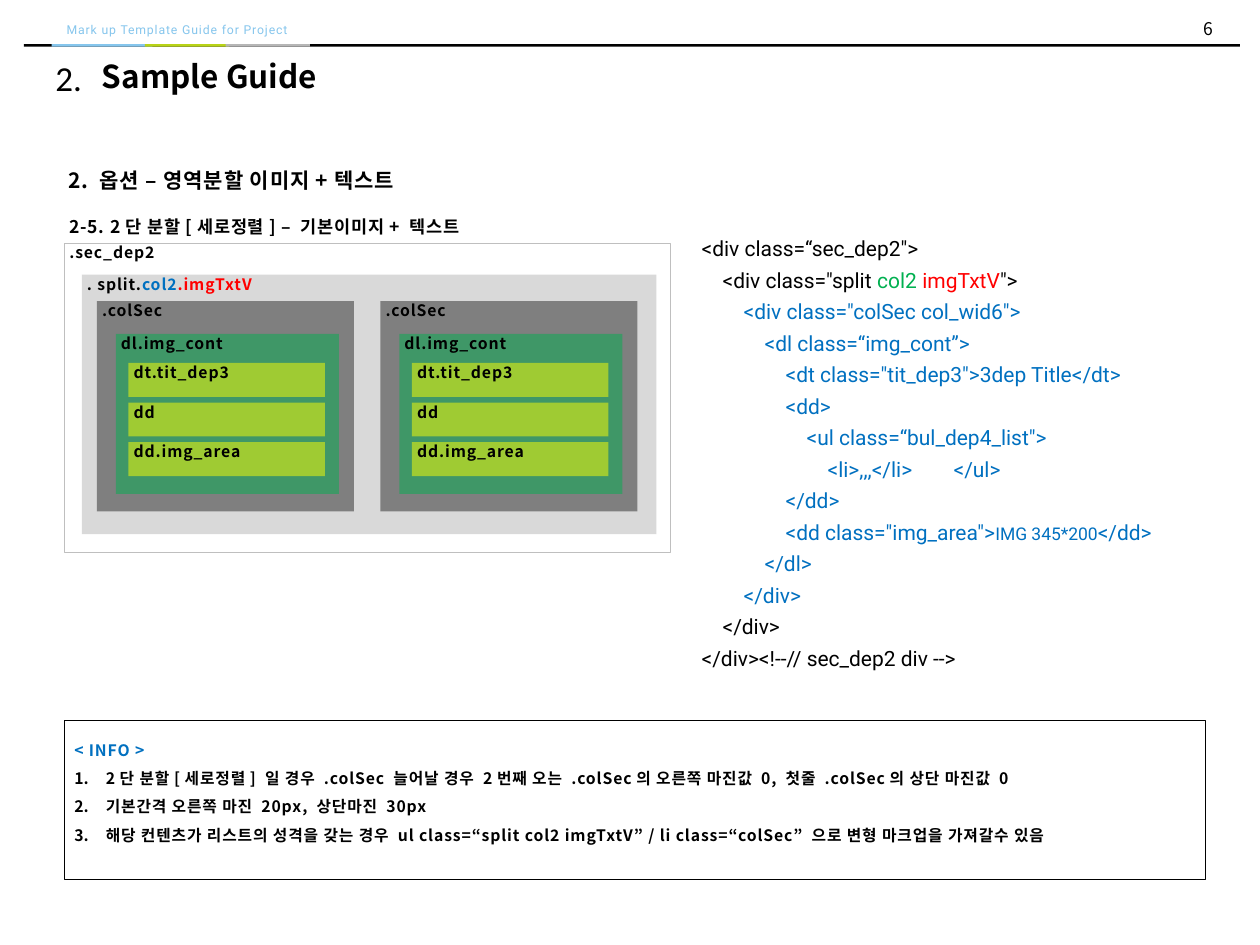
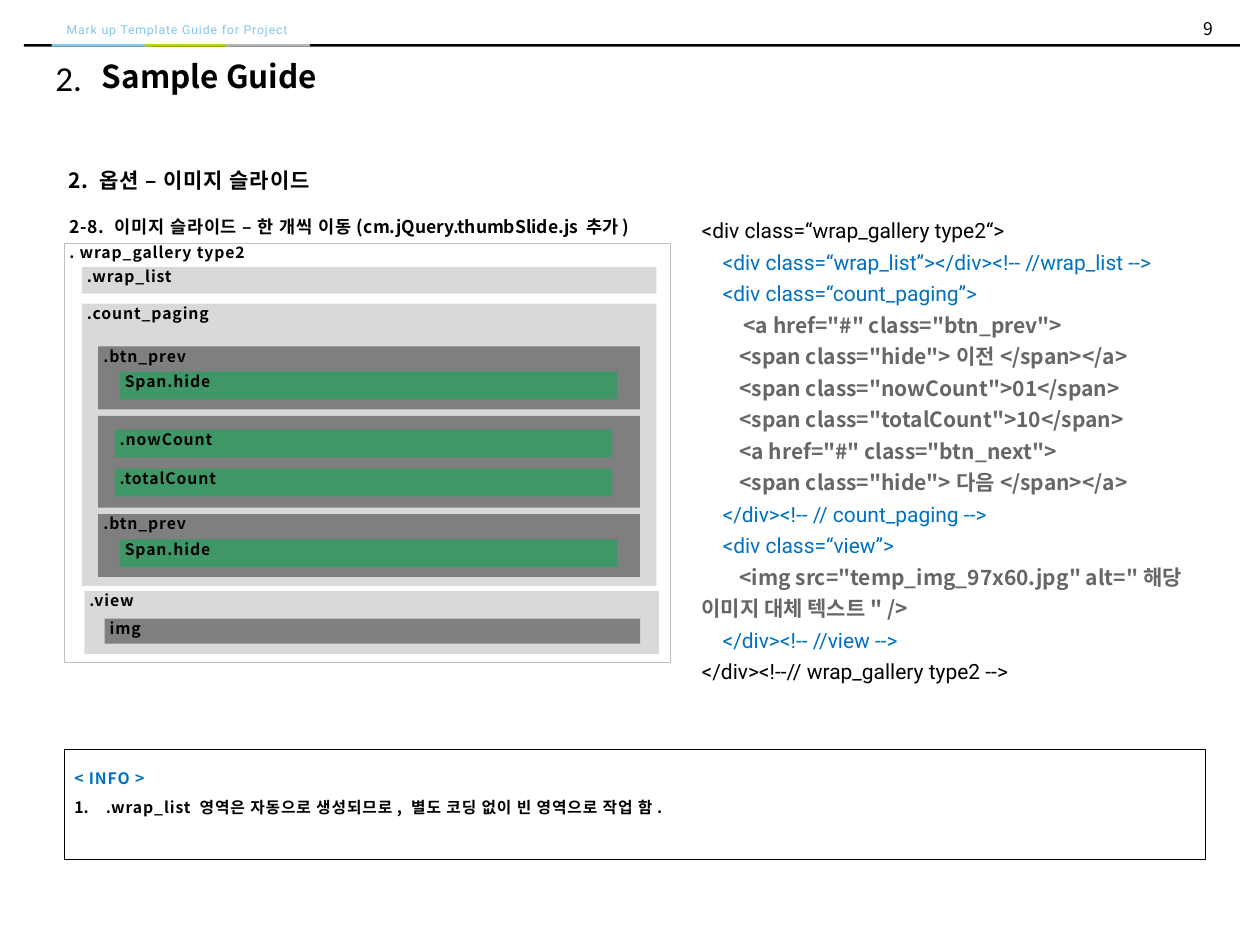
import pptx
import pptx.dml.color
import pptx.enum.shapes
import pptx.enum.text
import pptx.oxml.ns
import pptx.util
from lxml import etree

Inches, Pt = pptx.util.Inches, pptx.util.Pt
ALIGN = pptx.enum.text.PP_ALIGN
ANCHOR = pptx.enum.text.MSO_ANCHOR
qn = pptx.oxml.ns.qn

# Shared colours, fonts and text styles
BLACK, WHITE, BLUE, RED, GREEN = "000000", "FFFFFF", "0070C0", "FF0000", "00B050"
SKY, LIME, SILVER = "86C6ED", "B8D317", "B6B6B6"
LIGHT, DARK, YELLOW, BORDER, GRAY = "B5B5B5", "262626", "FFFF00", "BFBFBF", "666666"
NOTO, ROBOTO = "Noto Sans CJK KR", "Roboto"

LABEL = dict(size=9, bold=True, spacing=0.5)
CODE = dict(size=12, font=ROBOTO)
CODE_BLUE = dict(color=BLUE)
CODE_BOLD = dict(color=GRAY, font=NOTO, bold=True)
LABEL_INSETS = (0.04, 0, 0, 0)
TEXT_INSETS = (0.1, 0.05, 0.1, 0.05)


def rgb(value):
    return pptx.dml.color.RGBColor.from_string(value)


# Text helpers
def add_run(p, text, size=12, font=NOTO, color=BLACK, bold=False, spacing=0):
    r = p.add_run()
    r.text = text
    r.font.size = Pt(size)
    r.font.bold = bold
    r.font.color.rgb = rgb(color)
    r.font.name = font
    rPr = r._r.get_or_add_rPr()
    etree.SubElement(rPr, qn("a:ea")).set("typeface", font)
    if spacing:
        rPr.set("spc", str(int(spacing * 100)))


def add_runs(p, runs, style):
    """Each run is plain text or a (text, style changes) pair."""
    for run in [runs] if isinstance(runs, str) else runs:
        text, changes = (run, {}) if isinstance(run, str) else run
        add_run(p, text, **{**style, **changes})


def set_frame(tf, insets, wrap=True, anchor=ANCHOR.TOP):
    tf.word_wrap = wrap
    tf.vertical_anchor = anchor
    (tf.margin_left, tf.margin_top,
     tf.margin_right, tf.margin_bottom) = map(Inches, insets)


def set_indent(p, left, first):
    pPr = p._p.get_or_add_pPr()
    pPr.set("marL", str(Inches(left)))
    pPr.set("indent", str(Inches(first)))
    return pPr


def add_text(s, at, runs, style, insets=TEXT_INSETS, wrap=True, grow=True,
             align=ALIGN.LEFT, anchor=ANCHOR.TOP, line_spacing=None):
    tf = s.shapes.add_textbox(*map(Inches, at)).text_frame
    set_frame(tf, insets, wrap, anchor)
    if grow:
        tf.auto_size = pptx.enum.text.MSO_AUTO_SIZE.SHAPE_TO_FIT_TEXT
    p = tf.paragraphs[0]
    p.alignment = align
    if line_spacing:
        p.line_spacing = line_spacing
    add_runs(p, runs, style)


# Boxes
def add_box(s, at, fill, opacity=100, line=None, line_width=0.75):
    sp = s.shapes.add_shape(pptx.enum.shapes.MSO_SHAPE.RECTANGLE, *map(Inches, at))
    sp.shadow.inherit = False
    sp.fill.solid()
    sp.fill.fore_color.rgb = rgb(fill)
    if opacity < 100:
        color = sp._element.spPr.find(qn("a:solidFill"))[0]
        etree.SubElement(color, qn("a:alpha")).set("val", str(opacity * 1000))
    if line:
        sp.line.color.rgb = rgb(line)
        sp.line.width = Pt(line_width)
    else:
        sp.line.fill.background()
    return sp


def add_label_box(s, at, fill, label="", opacity=50, line=None):
    sp = add_box(s, at, fill, opacity, line, 0.25)
    if label:
        set_frame(sp.text_frame, LABEL_INSETS)
        p = sp.text_frame.paragraphs[0]
        p.alignment = ALIGN.LEFT
        add_runs(p, label, LABEL)


def add_outer_box(s, height, label):
    add_label_box(s, (0.51, 1.93, 4.81, height), WHITE, label, 20, BORDER)


def add_info(s, top, height, notes):
    sp = add_box(s, (0.51, top, 9.06, height), WHITE, 50, BLACK)
    tf = sp.text_frame
    set_frame(tf, (0.08, 0.08, 0.08, 0))
    for i, text in enumerate(["< INFO >"] + notes):
        p = tf.add_paragraph() if i else tf.paragraphs[0]
        p.alignment = ALIGN.LEFT
        p.line_spacing = 1.5
        if i:
            pPr = set_indent(p, 0.25, -0.25)
            etree.SubElement(pPr, qn("a:buAutoNum")).set("type", "arabicPeriod")
        add_runs(p, text, {**LABEL, "color": BLACK if i else BLUE})


def add_code(s, top, lines):
    """Each line is (indent level, runs); six levels make one inch."""
    tf = s.shapes.add_textbox(*map(Inches, (5.47, top, 4.25, 3.89))).text_frame
    set_frame(tf, TEXT_INSETS)
    tf.auto_size = pptx.enum.text.MSO_AUTO_SIZE.SHAPE_TO_FIT_TEXT
    for i, (level, runs) in enumerate(lines):
        p = tf.add_paragraph() if i else tf.paragraphs[0]
        p.line_spacing = Pt(18)
        pPr = set_indent(p, 0, level / 6)
        if any("\t" in run[0] for run in runs):
            tabs = etree.SubElement(pPr, qn("a:tabLst"))
            tab = etree.SubElement(tabs, qn("a:tab"))
            tab.set("pos", str(Inches(3)))
            tab.set("algn", "l")
        add_runs(p, runs, CODE)


# Header, title and headings common to both slides
def add_page(prs, number, heading, heading_width, subheading, subheading_width):
    s = prs.slides.add_slide(prs.slide_layouts[6])
    add_box(s, (0.19, 0.35, 9.65, 0.02), BLACK)
    add_text(s, (7.79, 0.08, 1.94, 0.29), number, dict(size=10), grow=False,
             align=ALIGN.RIGHT, anchor=ANCHOR.MIDDLE)
    add_text(s, (0.43, 0.13, 2.98, 0.22), "Mark up Template Guide for Project",
             dict(size=7, font=ROBOTO, color=SKY, spacing=0.5))
    for left, width, color in ((0.41, 0.8, SKY), (1.15, 0.67, LIME), (1.79, 0.67, SILVER)):
        add_box(s, (left, 0.35, width, 0.02), color)
    add_text(s, (0.27, 0.4, 0.55, 0.44), "2.", dict(size=20, font="Calibri"),
             align=ALIGN.CENTER)
    add_text(s, (0.71, 0.4, 4.61, 0.4), "Sample Guide", dict(size=18, bold=True))
    for at, text, size in (((0.5, 1.23, heading_width, 0.3), heading, 12),
                           ((0.51, 1.63, subheading_width, 0.25), subheading, 10)):
        add_text(s, at, text, {**LABEL, "size": size}, LABEL_INSETS,
                 wrap=False, line_spacing=1.5)
    return s


def blue(level, text):
    return level, [(text, CODE_BLUE)]


def black(level, text):
    return level, [(text, {})]


def bold(level, text):
    return level, [(text, CODE_BOLD)]


def build_split_slide(prs):
    s = add_page(prs, "6", "2. 옵션 – 영역분할 이미지+텍스트", 2.79,
                 "2-5. 2단 분할[세로정렬] – 기본이미지+ 텍스트", 3.2)

    # Two equal columns of nested boxes
    add_outer_box(s, 2.45, ".sec_dep2")
    add_label_box(s, (0.65, 2.18, 4.56, 2.06), LIGHT,
                  [". split.", ("col2", dict(color=BLUE)), (".imgTxtV", dict(color=RED))])
    for left in (0.77, 3.02):
        add_label_box(s, (left, 2.39, 2.04, 1.67), DARK, ".colSec")
        add_label_box(s, (left + 0.15, 2.65, 1.77, 1.27), GREEN, "dl.img_cont")
        for row, label in enumerate(("dt.tit_dep3", "dd", "dd.img_area")):
            add_label_box(s, (left + 0.25, 2.88 + row * 0.315, 1.56, 0.27), YELLOW, label)

    add_code(s, 1.77, [
        black(0, '<div class=“sec_dep2">'),
        (1, [('<div class="split ', {}), ("col2 ", dict(color=GREEN)),
             ("imgTxtV", dict(color=RED)), ('">', {})]),
        blue(2, '<div class="colSec col_wid6">'),
        blue(3, "<dl class=“img_cont”>"),
        blue(4, '<dt class="tit_dep3">3dep Title</dt>'),
        blue(4, "<dd>"),
        blue(5, '<ul class=“bul_dep4_list">'),
        blue(6, "<li>,,,</li>\t</ul>"),
        blue(4, "</dd>"),
        (4, [('<dd class="img_area">', CODE_BLUE),
             ("IMG 345*200", dict(color=BLUE, size=10)), ("</dd>", CODE_BLUE)]),
        blue(3, "</dl>"),
        blue(2, "</div>"),
        black(1, "</div>"),
        black(0, "</div><!--// sec_dep2 div -->"),
    ])
    add_info(s, 5.72, 1.26, [
        "2단 분할[세로정렬] 일 경우 .colSec 늘어날 경우 2번째 오는 .colSec의 "
        "오른쪽 마진값 0, 첫줄 .colSec의 상단 마진값 0",
        "기본간격 오른쪽 마진 20px, 상단마진 30px",
        "해당 컨텐츠가 리스트의 성격을 갖는 경우 ul class=“split col2 imgTxtV” / "
        "li class=“colSec” 으로 변형 마크업을 가져갈수 있음",
    ])


def build_gallery_slide(prs):
    s = add_page(prs, "9", "2. 옵션 – 이미지 슬라이드", 2.2,
                 ["2-8. 이미지 슬라이드 – 한 개씩 이동(",
                  ("cm.jQuery.thumbSlide.js 추가", dict(spacing=0)), ")"], 4.63)

    # Gallery areas
    add_outer_box(s, 3.33, ". wrap_gallery type2")
    add_label_box(s, (0.65, 2.12, 4.56, 0.21), LIGHT, ".wrap_list")
    add_label_box(s, (0.65, 2.41, 4.56, 2.24), LIGHT, ".count_paging")
    add_label_box(s, (0.67, 4.69, 4.56, 0.5), LIGHT, ".view")
    add_label_box(s, (0.83, 4.91, 4.25, 0.2), DARK, "img")

    # Paging buttons and counters
    for top in (2.75, 4.08):
        add_label_box(s, (0.78, top, 4.3, 0.5), DARK, ".btn_prev")
        add_label_box(s, (0.95, top + 0.2, 3.95, 0.22), GREEN, "Span.hide")
    add_label_box(s, (0.78, 3.3, 4.3, 0.73), DARK)
    for top, label in ((3.41, ".nowCount"), (3.72, ".totalCount")):
        add_label_box(s, (0.91, top, 3.95, 0.22), GREEN, label)

    add_code(s, 1.63, [
        black(0, "<div class=“wrap_gallery type2“>"),
        blue(1, "<div class=“wrap_list”></div><!-- //wrap_list -->"),
        blue(1, "<div class=“count_paging”>"),
        bold(2, '<a href="#" class="btn_prev">'),
        bold(1.8, '<span class="hide">이전</span></a>'),
        bold(1.8, '<span class="nowCount">01</span>'),
        bold(1.8, '<span class="totalCount">10</span>'),
        bold(1.8, '<a href="#" class="btn_next">'),
        bold(1.8, '<span class="hide">다음</span></a>'),
        blue(1, "</div><!-- // count_paging -->"),
        blue(1, "<div class=“view”>"),
        bold(1.8, '<img src="temp_img_97x60.jpg" alt="해당 이미지 대체 텍스트" />'),
        blue(1, "</div><!-- //view -->"),
        black(0, "</div><!--// wrap_gallery type2 -->"),
    ])
    add_info(s, 5.95, 0.87, [
        ".wrap_list 영역은 자동으로 생성되므로, 별도 코딩 없이 빈 영역으로 작업 함.",
    ])


def main():
    prs = pptx.Presentation()
    prs.slide_width, prs.slide_height = Inches(10), Inches(7.5)
    build_split_slide(prs)
    build_gallery_slide(prs)
    prs.save("out.pptx")


if __name__ == "__main__":
    main()
